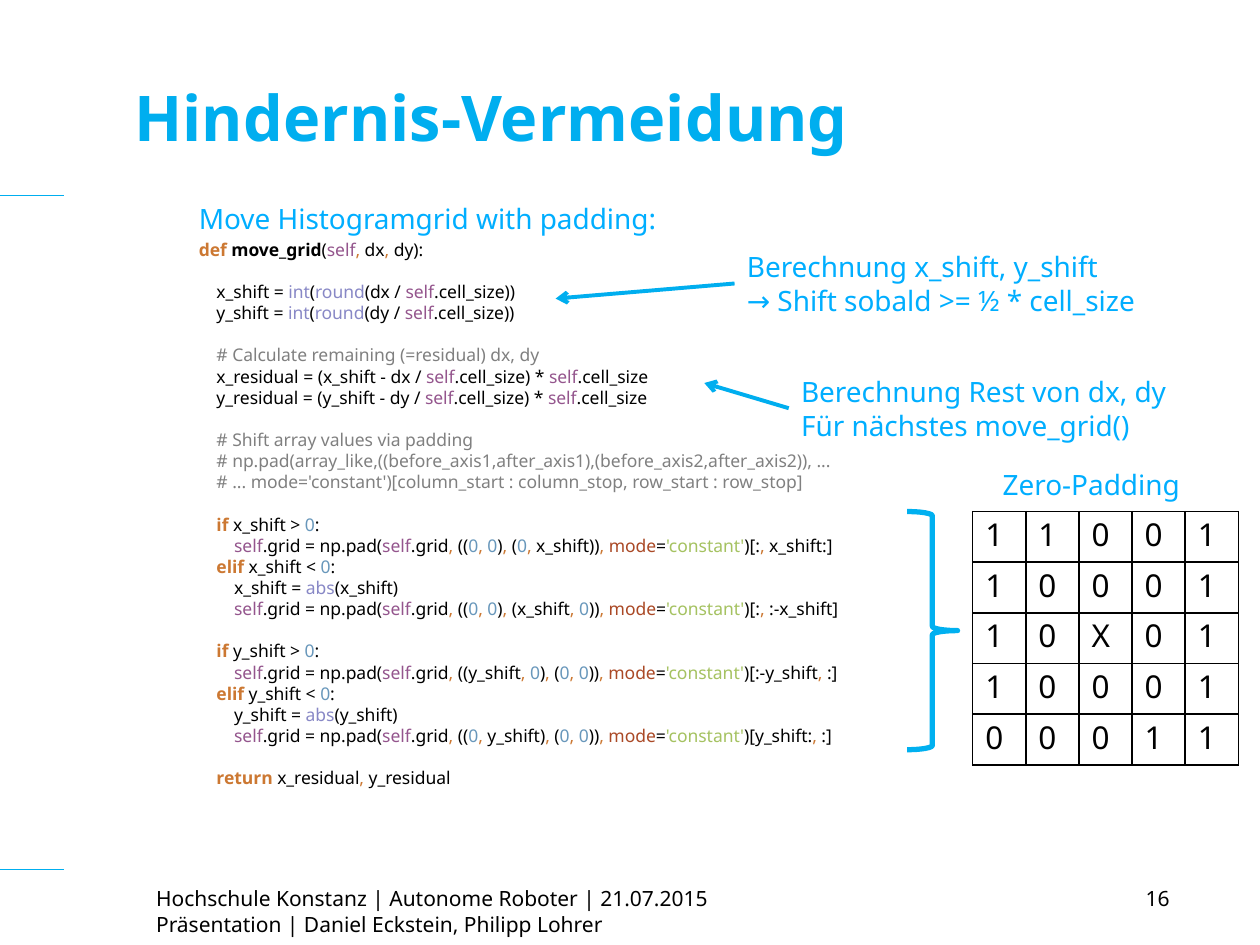
from itertools import groupby
from lxml import etree
from pptx import Presentation
from pptx.util import Inches, Pt
from pptx.dml.color import RGBColor
from pptx.enum.shapes import MSO_SHAPE as Geo, MSO_CONNECTOR as Con
from pptx.enum.text import PP_ALIGN as Al, MSO_ANCHOR as Anc, MSO_AUTO_SIZE as Fit
from pptx.oxml.ns import qn

hues = {
    "line": "00AEEF", "note": "00AEFF", "brace": "00B0F0", "text": "000000",
    "paper": "FFFFFF", "key": "CC7832", "self": "94558D", "call": "8888C6",
    "rem": "808080", "num": "6897BB", "arg": "AA4926", "str": "A5C261",
}
hues = {name: RGBColor.from_string(code) for name, code in hues.items()}


def add_run(para, text, size, hue="text", bold=False):
    run = para.add_run()
    run.text = text
    font = run.font
    font.name, font.size, font.bold = "Noto Sans", Pt(size), bold
    font.color.rgb = hues[hue]
    para.line_spacing = Pt(round(size * 1.205, 1))


def add_line(x1, y1, x2, y2, width):
    line = slide.shapes.add_connector(
        Con.STRAIGHT, Inches(x1), Inches(y1), Inches(x2), Inches(y2))
    line.line.color.rgb = hues["line"]
    line.line.width = Pt(width)
    etree.SubElement(line._element.spPr, qn("a:effectLst"))
    return line


deck = Presentation()
deck.slide_width, deck.slide_height = Inches(10), Inches(7.5)
slide = deck.slides.add_slide(deck.slide_layouts[6])

# Margin rules
for y in (1.55, 6.9):
    add_line(-0.04, y, 0.51, y, 0.75)

# Title, footer, page number and notes
texts = [
    (0.97, 0.3, 8.44, 1.25, 36, "line", ["Hindernis-Vermeidung"]),
    (1.14, 6.98, 6.62, 0.52, 12, "text",
     ["Hochschule Konstanz | Autonome Roboter | 21.07.2015",
      "Präsentation | Daniel Eckstein, Philipp Lohrer"]),
    (8.07, 6.98, 1.31, 0.52, 12, "text", ["16"]),
    (6.26, 2.92, 3.24, 0.64, 16, "note",
     ["Berechnung Rest von dx, dy", "Für nächstes move_grid()"]),
    (5.83, 1.93, 3.56, 0.64, 16, "note",
     ["Berechnung x_shift, y_shift", "→ Shift sobald >= ½ * cell_size"]),
    (7.86, 3.66, 1.64, 0.37, 16, "note", ["Zero-Padding"]),
]
boxes = []
for x, y, w, h, size, hue, lines in texts:
    box = slide.shapes.add_textbox(Inches(x), Inches(y), Inches(w), Inches(h))
    frame = box.text_frame
    frame.word_wrap = hue != "note"
    if hue == "note":
        frame.auto_size = Fit.SHAPE_TO_FIT_TEXT
    for i, line in enumerate(lines):
        para = frame.add_paragraph() if i else frame.paragraphs[0]
        add_run(para, line, size, hue, bold=size == 36)
    boxes.append(box)
title, foot, page, rest, shift, zero = boxes
title.text_frame.vertical_anchor = Anc.MIDDLE
page.text_frame.paragraphs[0].alignment = Al.RIGHT

# Code listing: blocks of (indent level, line)
blocks = [
    [(0, "def move_grid(self, dx, dy):")],
    [(1, "x_shift = int(round(dx / self.cell_size))"),
     (1, "y_shift = int(round(dy / self.cell_size))")],
    [(1, "# Calculate remaining (=residual) dx, dy"),
     (1, "x_residual = (x_shift - dx / self.cell_size) * self.cell_size"),
     (1, "y_residual = (y_shift - dy / self.cell_size) * self.cell_size")],
    [(1, "# Shift array values via padding"),
     (1, "# np.pad(array_like,((before_axis1,after_axis1),(before_axis2,after_axis2)), ..."),
     (1, "# ... mode='constant')[column_start : column_stop, row_start : row_stop]")],
    [(1, "if x_shift > 0:"),
     (2, "self.grid = np.pad(self.grid, ((0, 0), (0, x_shift)), mode='constant')[:, x_shift:]"),
     (1, "elif x_shift < 0:"),
     (2, "x_shift = abs(x_shift)"),
     (2, "self.grid = np.pad(self.grid, ((0, 0), (x_shift, 0)), mode='constant')[:, :-x_shift]")],
    [(1, "if y_shift > 0:"),
     (2, "self.grid = np.pad(self.grid, ((y_shift, 0), (0, 0)), mode='constant')[:-y_shift, :]"),
     (1, "elif y_shift < 0:"),
     (2, "y_shift = abs(y_shift)"),
     (2, "self.grid = np.pad(self.grid, ((0, y_shift), (0, 0)), mode='constant')[y_shift:, :]")],
    [(1, "return x_residual, y_residual")],
]
words = {"self": "self", "mode": "arg", "'constant'": "str", "0": "num", ",": "key"}
words.update(dict.fromkeys(("int", "round", "abs"), "call"))
keys = ("def", "if", "elif", "return")
words.update(dict.fromkeys(keys, "key"))

code = slide.shapes.add_textbox(Inches(0.98), Inches(1.55), Inches(8.5), Inches(4.99))
frame = code.text_frame
frame.word_wrap = True
head = frame.paragraphs[0]
head._p.get_or_add_pPr().set("marL", str(Inches(0.5)))
add_run(head, "Move Histogramgrid with padding:", 16, "note")
for b, block in enumerate(blocks):
    for i, (level, line) in enumerate(block):
        para = frame.add_paragraph()
        para._p.get_or_add_pPr().set("marL", str(Inches(0.5 + 0.14 * level)))
        if i == 0:
            para.space_before = Pt(12 if b else 2)
        if line.startswith("#"):
            add_run(para, line, 10, "rem")
            continue
        # Split into words, commas and the rest
        for _, part in groupby(
                line, lambda c: "word" if c.isalnum() or c in "_'" else c == ","):
            word = "".join(part)
            add_run(para, word, 10, words.get(word, "text"),
                    word in keys or word == "move_grid")

# Arrows from the notes to the code
for note, x1, y1, x2, y2 in ((rest, 6.26, 3.24, 5.59, 3.04),
                             (shift, 5.83, 2.25, 4.41, 2.37)):
    arrow = add_line(x1, y1, x2, y2, 2.25)
    arrow.begin_connect(note, 1)
    etree.SubElement(arrow.line._get_or_add_ln(), qn("a:tailEnd"), type="arrow")

# Brace
brace = slide.shapes.add_shape(
    Geo.RIGHT_BRACE, Inches(7.2), Inches(4.06), Inches(0.4), Inches(1.89))
brace.shadow.inherit = False
brace.fill.background()
brace.line.color.rgb = hues["brace"]
brace.line.width = Pt(3)

# Histogram grid
rows = ["11001", "10001", "10X01", "10001", "00011"]
grid = slide.shapes.add_table(
    5, 5, Inches(7.72), Inches(4.06), Inches(2.11), Inches(2)).table
for r, row in enumerate(rows):
    for c, mark in enumerate(row):
        cell = grid.cell(r, c)
        add_run(cell.text_frame.paragraphs[0], mark, 18)
        props = cell._tc.get_or_add_tcPr()
        for side in ("lnL", "lnR", "lnT", "lnB"):
            edge = etree.SubElement(props, qn("a:" + side), w=str(Pt(1)))
            fill = etree.SubElement(edge, qn("a:solidFill"))
            etree.SubElement(fill, qn("a:srgbClr"), val=str(hues["text"]))
        cell.fill.solid()
        cell.fill.fore_color.rgb = hues["paper"]

deck.save("out.pptx")
